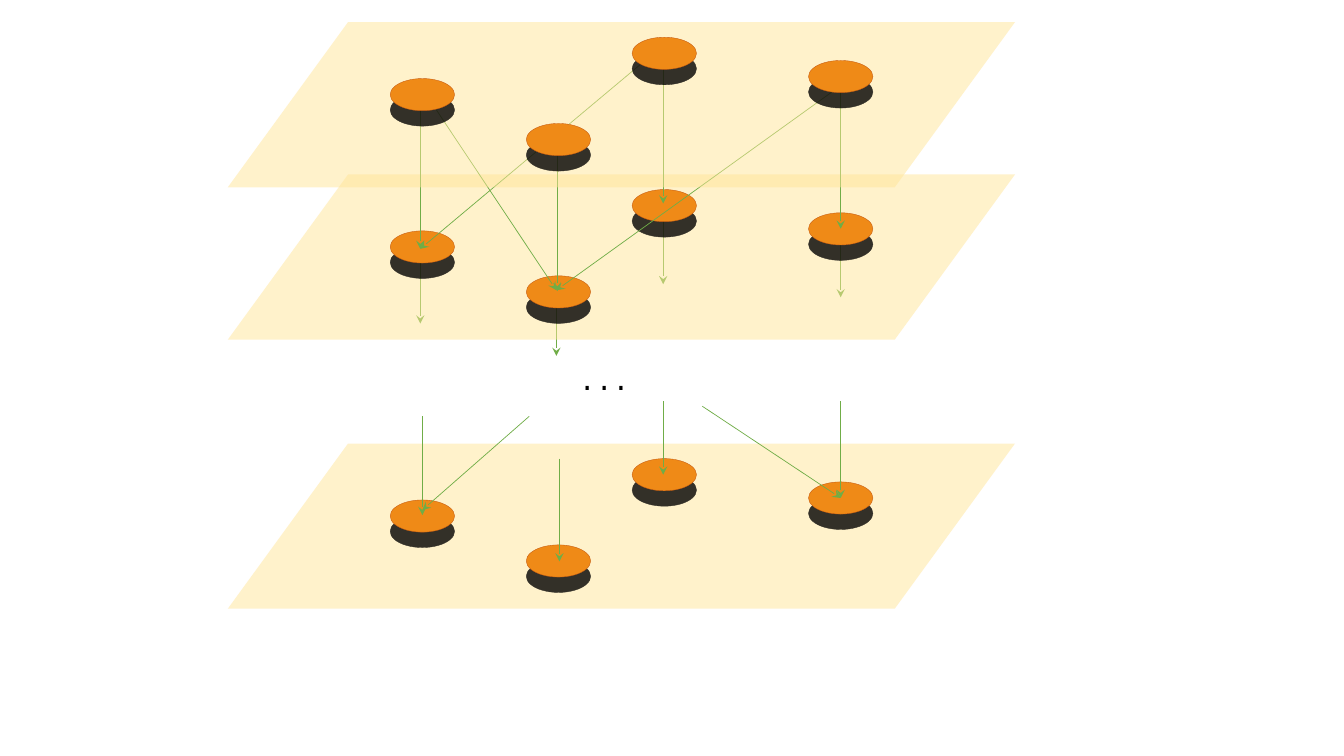
from lxml.etree import SubElement
from pptx import Presentation
from pptx.dml.color import RGBColor
from pptx.enum.shapes import MSO_CONNECTOR as Connector, MSO_SHAPE as Shape
from pptx.enum.text import PP_ALIGN as Align
from pptx.oxml.ns import qn
from pptx.util import Pt

COLORS = {"layer": "FFE699", "node": "EF8A17", "rim": "C55A11",
          "arrow": "70AD47", "shadow": "000000", "text": "000000"}
LEFT, WIDTH, HEIGHT = 162.7, 562.3, 118
TOPS = [15.8, 124.6, 316.8]
NODE_WIDTH, NODE_HEIGHT = 46, 23
NODES = [(139, 51.8), (311.8, 22.3), (236.2, 83.9), (437.8, 38.9)]
STUBS = [((137.5, 54), (137.5, 106.5)), ((234.7, 74.1), (234.7, 129.6)),
         ((311, 23), (311, 78.4)), ((437.8, 32.4), (437.8, 87.8))]
LINKS = [((137.5, 61.2), (137.5, 162)), ((437.8, 45.4), (234.7, 191.5)),
         ((235.4, 90), (235.4, 192.2)), ((311, 28.1), (311, 129.6)),
         ((437.8, 45.4), (437.8, 147.6)), ((137.5, 45.4), (234.7, 191.5)),
         ((311, 16.6), (137.5, 162))]
INFLOWS = [((139, -19.4), (139, 51.1)), ((236.9, 10.8), (236.9, 84.2)),
           ((311, -30.2), (311, 22.3)), ((437.8, -30.2), (437.8, 38.9)),
           ((215.3, -19.4), (139, 47.5)), ((339, -26.6), (437.8, 38.9))]


def color(name):
    return RGBColor.from_string(COLORS[name])


def add_filled(page, kind, left, top, width, height, fill):
    shape = page.shapes.add_shape(kind, Pt(left), Pt(top), Pt(width), Pt(height))
    shape.shadow.inherit = False
    shape.fill.solid()
    shape.fill.fore_color.rgb = color(fill)
    shape.line.fill.background()
    return shape


def add_node(page, center_x, center_y):
    node = add_filled(page, Shape.OVAL, center_x - NODE_WIDTH / 2,
                      center_y - NODE_HEIGHT / 2, NODE_WIDTH, NODE_HEIGHT, "node")
    node.line.color.rgb = color("rim")
    node.line.width = Pt(0.25)
    effects = node._element.spPr.find(qn("a:effectLst"))
    shadow = SubElement(effects, qn("a:outerShdw"), blurRad="0", dist=str(Pt(11)),
                        dir="5400000", algn="ctr", rotWithShape="0")
    shade = SubElement(shadow, qn("a:srgbClr"), val=COLORS["shadow"])
    SubElement(shade, qn("a:alpha"), val="80000")


def add_layer(page, left, top, width, height):
    plane = add_filled(page, Shape.PARALLELOGRAM, left, top, width, height, "layer")
    plane.adjustments[0] = 0.728
    tint = plane._element.spPr.find(qn("a:solidFill"))[0]
    SubElement(tint, qn("a:alpha"), val="50000")
    for x, y in NODES:
        add_node(page, left + x, top + y)


def add_arrows(page, left, top, arrows):
    for (x1, y1), (x2, y2) in arrows:
        arrow = page.shapes.add_connector(
            Connector.STRAIGHT, Pt(left + x1), Pt(top + y1), Pt(left + x2), Pt(top + y2))
        arrow.line.color.rgb = color("arrow")
        arrow.line.width = Pt(0.5)
        SubElement(arrow.line._get_or_add_ln(), qn("a:tailEnd"), type="stealth")
        SubElement(arrow._element.spPr, qn("a:effectLst"))


def add_ellipsis(page, left, top, width, height):
    box = page.shapes.add_textbox(Pt(left), Pt(top), Pt(width), Pt(height))
    box.text_frame.word_wrap = True
    box.text_frame.text = "..."
    para = box.text_frame.paragraphs[0]
    para.alignment = Align.CENTER
    span = para.runs[0]
    span.font.name = "Courier New"
    span.font.size = Pt(20)
    span.font.color.rgb = color("text")


def main():
    deck = Presentation()
    deck.slide_width, deck.slide_height = Pt(960), Pt(540)
    page = deck.slides.add_slide(deck.slide_layouts[6])
    first, second, last = TOPS
    add_arrows(page, LEFT, second, STUBS)
    add_layer(page, LEFT, last, WIDTH, HEIGHT)
    add_layer(page, LEFT, second, WIDTH, HEIGHT)
    add_arrows(page, LEFT, first, LINKS)
    add_layer(page, LEFT, first, WIDTH, HEIGHT)
    add_ellipsis(page, 399.6, 255.6, 64, 31.7)
    add_arrows(page, LEFT, last, INFLOWS)
    deck.save("out.pptx")


if __name__ == "__main__":
    main()
